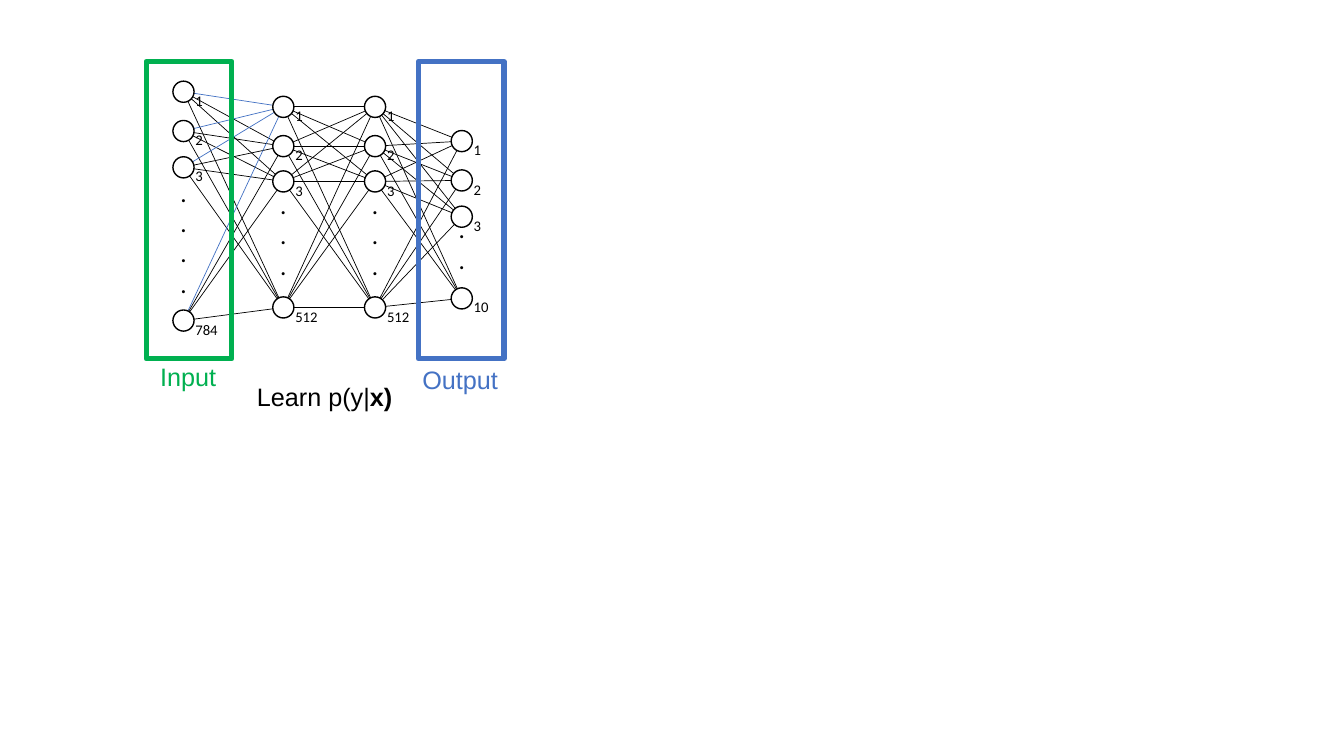
import itertools
from dataclasses import dataclass

import pptx
import pptx.dml.color
import pptx.enum.shapes
import pptx.enum.text
import pptx.oxml.ns
import pptx.util
from pptx.util import Inches


@dataclass(frozen=True)
class Theme:
    ink: str = "000000"
    paper: str = "FFFFFF"
    green: str = "00B050"
    blue: str = "4472C4"
    node_font: str = "Calibri"
    caption_font: str = "Arial"
    node_size: float = 10.5
    text_size: float = 18
    edge_width: float = 0.5
    node_width: float = 1
    frame_width: float = 3.75
    node_diameter: float = 0.21


@dataclass(frozen=True)
class Layer:
    x: float
    nodes: dict  # label -> centre height
    dots_top: float
    dots: int

    def centres(self):
        return [(self.x, y) for y in self.nodes.values()]


class NetworkSlide:
    def __init__(self, prs, theme):
        self.theme = theme
        self.s = prs.slides.add_slide(prs.slide_layouts[6])

    def rgb(self, color):
        return pptx.dml.color.RGBColor.from_string(color)

    def outline(self, sp, color, width):
        sp.line.color.rgb = self.rgb(color)
        sp.line.width = pptx.util.Pt(width)

    def text(self, x, y, w, h, lines, font, size, color):
        """Each line is a list of (text, bold) pieces."""
        sp = self.s.shapes.add_textbox(Inches(x), Inches(y), Inches(w), Inches(h))
        tf = sp.text_frame
        tf.word_wrap = False
        tf.auto_size = pptx.enum.text.MSO_AUTO_SIZE.SHAPE_TO_FIT_TEXT
        for i, pieces in enumerate(lines):
            p = tf.add_paragraph() if i else tf.paragraphs[0]
            for piece, bold in pieces:
                r = p.add_run()
                r.text = piece
                r.font.name = font
                r.font.size = pptx.util.Pt(size)
                r.font.bold = bold
                r.font.color.rgb = self.rgb(color)

    def caption(self, x, y, w, pieces, color):
        t = self.theme
        self.text(x, y, w, 0.4, [pieces], t.caption_font, t.text_size, color)

    def edge(self, start, end, color):
        sp = self.s.shapes.add_connector(
            pptx.enum.shapes.MSO_CONNECTOR.STRAIGHT,
            *(Inches(v) for v in (*start, *end)))
        self.outline(sp, color, self.theme.edge_width)
        sp._element.spPr.append(
            pptx.oxml.parse_xml(f"<a:effectLst {pptx.oxml.ns.nsdecls('a')}/>"))

    def shape(self, kind, x, y, w, h, fill, color, width):
        sp = self.s.shapes.add_shape(
            kind, Inches(x), Inches(y), Inches(w), Inches(h))
        sp.shadow.inherit = False
        if fill:
            sp.fill.solid()
            sp.fill.fore_color.rgb = self.rgb(fill)
        else:
            sp.fill.background()
        self.outline(sp, color, width)

    def node(self, x, y, label):
        t = self.theme
        d = t.node_diameter
        self.shape(pptx.enum.shapes.MSO_SHAPE.OVAL, x - d / 2, y - d / 2, d, d,
                   t.paper, t.ink, t.node_width)
        self.text(x + 0.02, y - 0.05, 0.21 + 0.07 * len(label), 0.28,
                  [[(label, False)]], t.node_font, t.node_size, t.ink)

    def dots(self, layer):
        t = self.theme
        self.text(layer.x - 0.13, layer.dots_top, 0.27, 0.1 + 0.3 * layer.dots,
                  [[(".", False)]] * layer.dots, t.node_font, t.text_size, t.ink)

    def frame(self, x, color):
        self.shape(pptx.enum.shapes.MSO_SHAPE.RECTANGLE, x, 0.61, 0.85, 2.95,
                   None, color, self.theme.frame_width)


def main():
    prs = pptx.Presentation()
    prs.slide_width, prs.slide_height = Inches(13.33), Inches(7.5)
    theme = Theme()
    net = NetworkSlide(prs, theme)

    hidden = {"1": 1.06, "2": 1.45, "3": 1.8, "512": 3.05}
    layers = [
        Layer(1.82, {"1": 0.91, "2": 1.3, "3": 1.66, "784": 3.18}, 1.71, 4),
        Layer(2.81, hidden, 1.83, 3),
        Layer(3.72, hidden, 1.83, 3),
        Layer(4.58, {"1": 1.4, "2": 1.79, "3": 2.15, "10": 2.96}, 2.07, 2),
    ]

    # Edges: every node to every node of the next layer,
    # with those into the first hidden node in blue
    first_hidden = layers[1].centres()[0]
    for left, right in zip(layers, layers[1:]):
        for start, end in itertools.product(left.centres(), right.centres()):
            net.edge(start, end, theme.blue if end == first_hidden else theme.ink)

    # Nodes, their numbers and the dots between them
    for layer in layers:
        net.dots(layer)
        for label, y in layer.nodes.items():
            net.node(layer.x, y, label)

    # Frames around the outer layers
    net.frame(1.45, theme.green)
    net.frame(4.15, theme.blue)

    # Captions
    net.caption(1.49, 3.54, 0.76, [("Input", False)], theme.green)
    net.caption(4.09, 3.57, 0.96, [("Output", False)], theme.blue)
    net.caption(2.45, 3.73, 1.56, [("Learn p(y|", False), ("x)", True)], theme.ink)

    prs.save("out.pptx")


if __name__ == "__main__":
    main()
